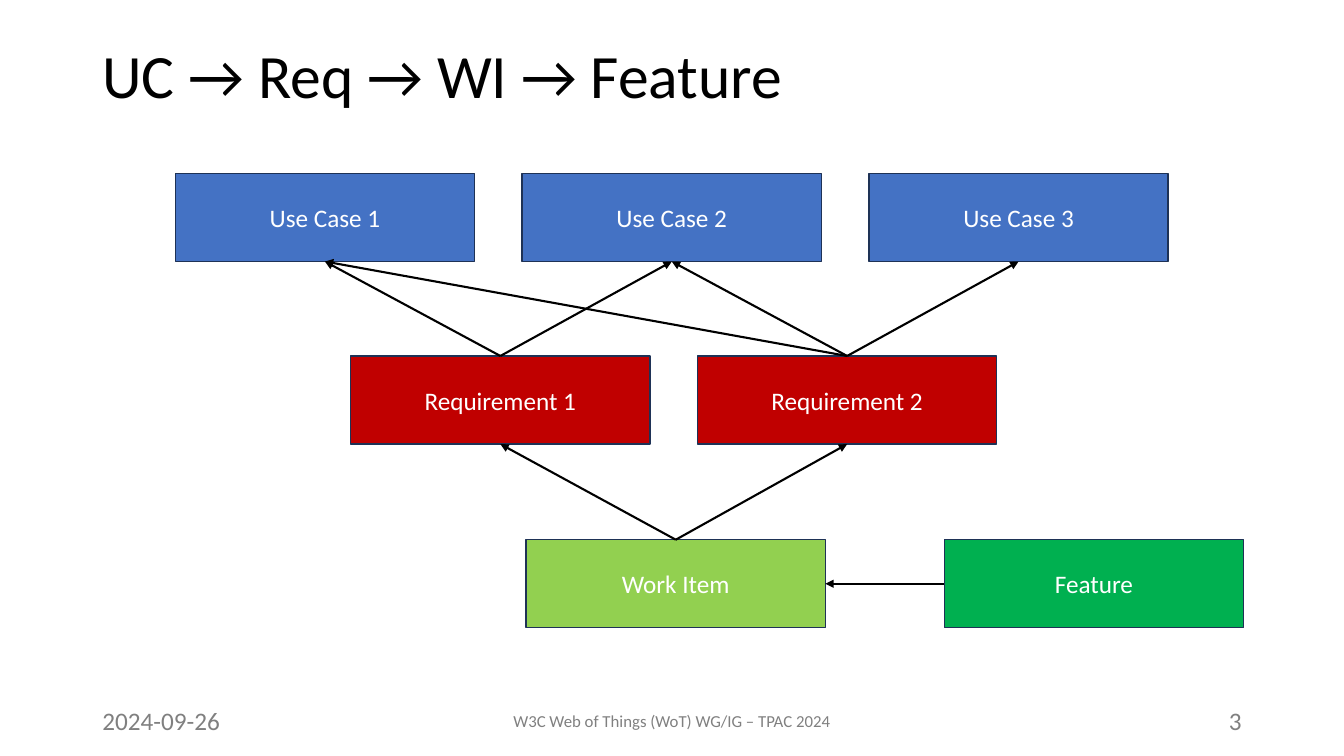
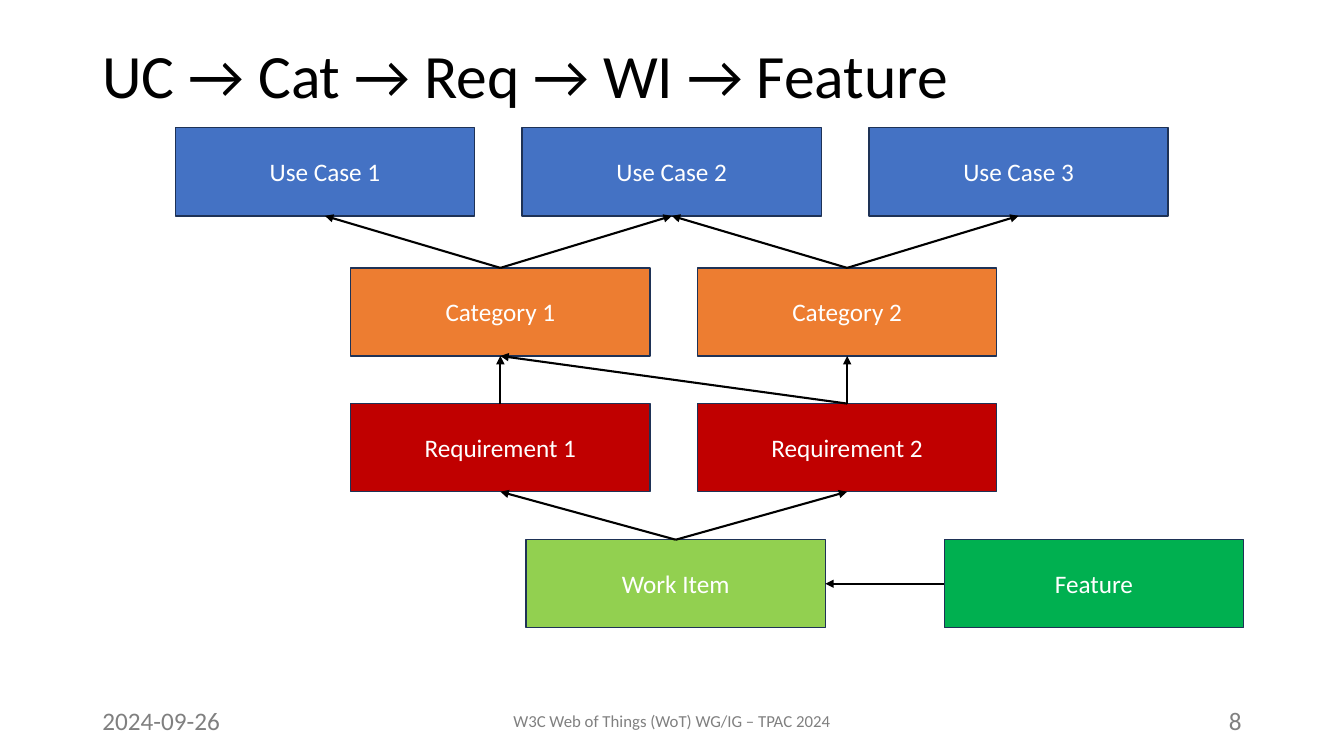
"""Build two slides that trace use cases through requirements to features."""
from lxml import etree
from pptx import Presentation
from pptx import util as u
from pptx.dml.color import RGBColor
from pptx.enum import shapes, text
from pptx.oxml.ns import qn

BLACK = RGBColor(0x00, 0x00, 0x00)
WHITE = RGBColor(0xFF, 0xFF, 0xFF)
GREY = RGBColor(0x80, 0x80, 0x80)
NAVY = RGBColor(0x1E, 0x32, 0x56)
BLUE = RGBColor(0x44, 0x72, 0xC4)
ORANGE = RGBColor(0xED, 0x7D, 0x31)
RED = RGBColor(0xC0, 0x00, 0x00)
LIME = RGBColor(0x92, 0xD0, 0x50)
GREEN = RGBColor(0x00, 0xB0, 0x50)

FONT = "Calibri"
BOX_WIDTH, BOX_HEIGHT = 7.54, 2.22
COLUMN_STEP = 8.74
TIER_INDENT = 4.42
BOTTOM_ROW = 13.6
TOP, LEFT, BOTTOM, RIGHT = range(4)
ALIGN = text.PP_ALIGN
ANCHOR = text.MSO_ANCHOR

USE_CASES = ["Use Case 1", "Use Case 2", "Use Case 3"]
CATEGORIES = ["Category 1", "Category 2"]
REQUIREMENTS = ["Requirement 1", "Requirement 2"]
WORK_ITEM = ("Work Item", "Requirement 1"), ("Work Item", "Requirement 2")

SLIDES = [
    {
        "title": "UC → Req → WI → Feature",
        "number": "3",
        "rows": [
            (USE_CASES, BLUE, 1, 4.37),
            (REQUIREMENTS, RED, 2, 8.97),
        ],
        "links": [
            ("Requirement 1", "Use Case 1"),
            ("Requirement 1", "Use Case 2"),
            ("Requirement 2", "Use Case 1"),
            ("Requirement 2", "Use Case 2"),
            ("Requirement 2", "Use Case 3"),
        ],
    },
    {
        "title": "UC → Cat → Req → WI → Feature",
        "number": "8",
        "rows": [
            (USE_CASES, BLUE, 1, 3.22),
            (CATEGORIES, ORANGE, 2, 6.75),
            (REQUIREMENTS, RED, 2, 10.17),
        ],
        "links": [
            ("Category 1", "Use Case 1"),
            ("Category 1", "Use Case 2"),
            ("Category 2", "Use Case 2"),
            ("Category 2", "Use Case 3"),
            ("Requirement 1", "Category 1"),
            ("Requirement 2", "Category 1"),
            ("Requirement 2", "Category 2"),
        ],
    },
]


def write(shape, words, size, color, align, anchor):
    """Put one styled run into a shape."""
    frame = shape.text_frame
    frame.word_wrap = True
    frame.vertical_anchor = anchor
    paragraph = frame.paragraphs[0]
    paragraph.alignment = align
    run = paragraph.add_run()
    run.text = words
    run.font.name = FONT
    run.font.size = u.Pt(size)
    run.font.color.rgb = color
    return paragraph


def link(slide, source, source_side, target, target_side):
    """Join two boxes with an arrow that points at the target."""
    arrow = slide.shapes.add_connector(shapes.MSO_CONNECTOR.STRAIGHT, 0, 0, 0, 0)
    arrow.begin_connect(source, source_side)
    arrow.end_connect(target, target_side)
    arrow.line.color.rgb = BLACK
    arrow.line.width = u.Pt(1.5)
    etree.SubElement(arrow.line._get_or_add_ln(), qn("a:tailEnd"), type="triangle")
    etree.SubElement(arrow._element.spPr, qn("a:effectLst"))


deck = Presentation()
deck.slide_width = u.Cm(33.87)
deck.slide_height = u.Cm(19.05)

for content in SLIDES:
    slide = deck.slides.add_slide(deck.slide_layouts[6])

    title = slide.shapes.add_textbox(u.Cm(2.33), u.Cm(1.01), u.Cm(29.21), u.Cm(3.68))
    heading = write(title, content["title"], 44, BLACK, ALIGN.LEFT, ANCHOR.TOP)
    heading.line_spacing = 0.9

    for words, left, width, size, align, anchor in [
        ("2024-09-26", 2.33, 7.62, 18, ALIGN.LEFT, ANCHOR.TOP),
        ("W3C Web of Things (WoT) WG/IG – TPAC 2024", 11.22, 11.43, 12, ALIGN.CENTER, ANCHOR.MIDDLE),
        (content["number"], 23.92, 7.62, 18, ALIGN.RIGHT, ANCHOR.TOP),
    ]:
        footer = slide.shapes.add_textbox(u.Cm(left), u.Cm(17.66), u.Cm(width), u.Cm(1.01))
        write(footer, words, size, GREY, align, anchor)

    placed = [
        (label, color, tier * TIER_INDENT + column * COLUMN_STEP, top)
        for labels, color, tier, top in content["rows"]
        for column, label in enumerate(labels)
    ]
    placed.append(("Work Item", LIME, 3 * TIER_INDENT, BOTTOM_ROW))
    placed.append(("Feature", GREEN, 23.8, BOTTOM_ROW))

    boxes = {}
    for label, color, left, top in placed:
        box = slide.shapes.add_shape(
            shapes.MSO_SHAPE.RECTANGLE, u.Cm(left), u.Cm(top), u.Cm(BOX_WIDTH), u.Cm(BOX_HEIGHT)
        )
        box.shadow.inherit = False
        box.fill.solid()
        box.fill.fore_color.rgb = color
        box.line.color.rgb = NAVY
        box.line.width = u.Pt(1)
        write(box, label, 18, WHITE, ALIGN.CENTER, ANCHOR.MIDDLE)
        boxes[label] = box

    for source, target in [*content["links"], *WORK_ITEM]:
        link(slide, boxes[source], TOP, boxes[target], BOTTOM)
    link(slide, boxes["Feature"], LEFT, boxes["Work Item"], RIGHT)

deck.save("out.pptx")
